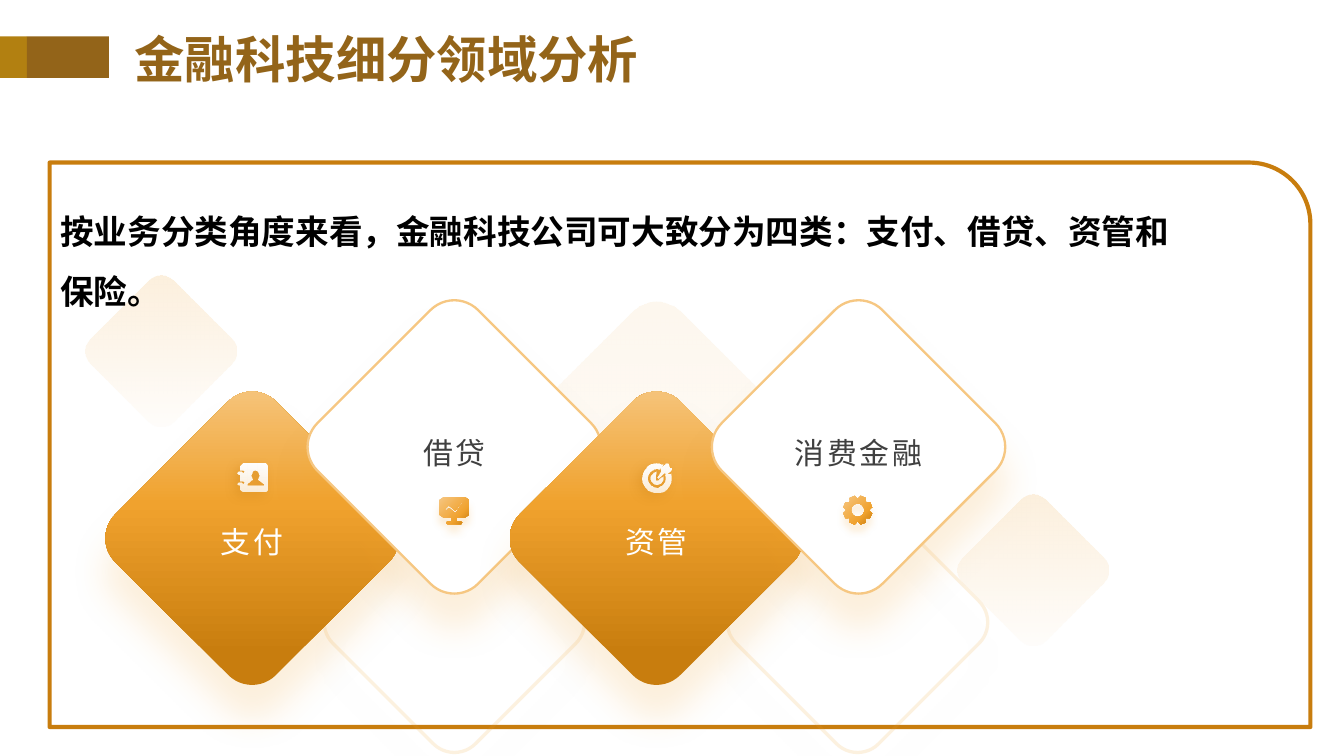
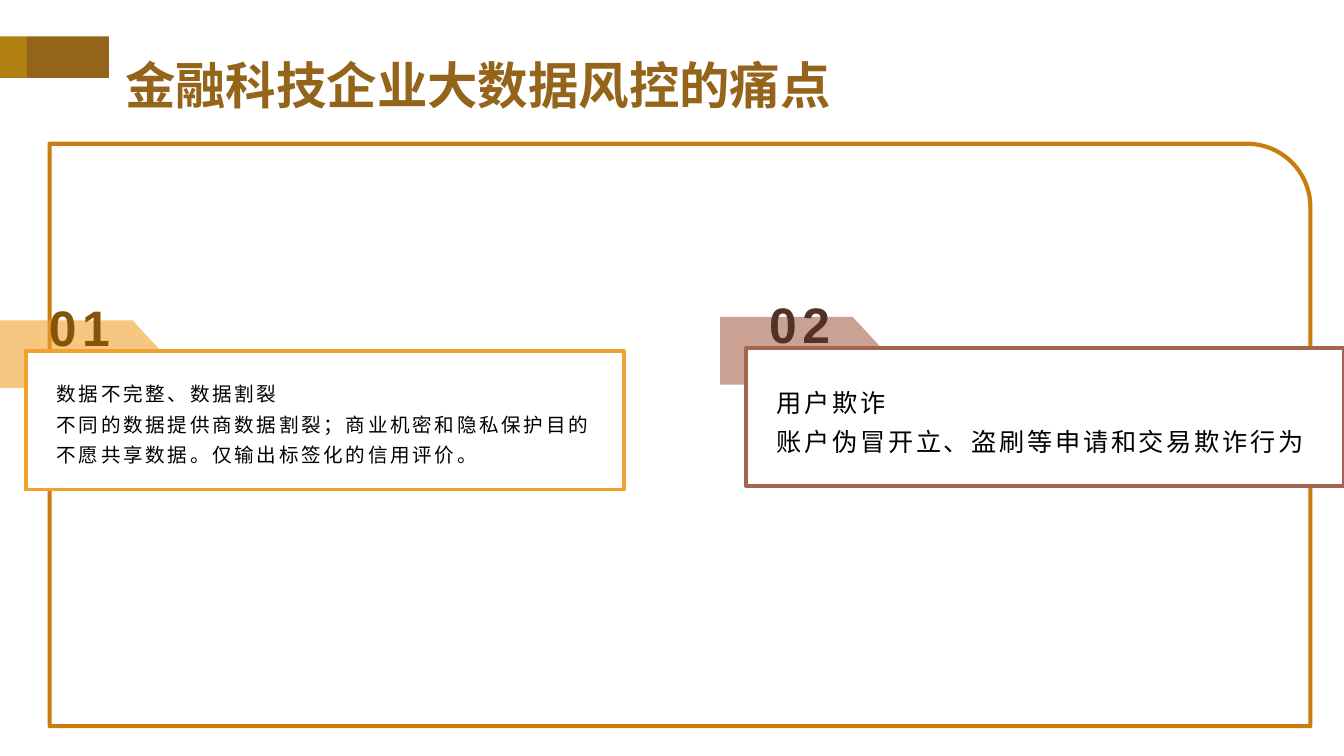
from math import cos, radians, sin

from lxml import etree
from pptx import Presentation
from pptx.dml.color import RGBColor
from pptx.enum.shapes import MSO_SHAPE
from pptx.enum.text import MSO_ANCHOR, PP_ALIGN
from pptx.oxml import parse_xml
from pptx.oxml.ns import nsdecls, qn
from pptx.util import Pt

RECTANGLE = MSO_SHAPE.RECTANGLE
ROUNDED = MSO_SHAPE.ROUNDED_RECTANGLE
ROUND_ONE = MSO_SHAPE.ROUND_1_RECTANGLE
TOP, MIDDLE, BOTTOM = MSO_ANCHOR.TOP, MSO_ANCHOR.MIDDLE, MSO_ANCHOR.BOTTOM
LEFT, CENTER = PP_ALIGN.LEFT, PP_ALIGN.CENTER

COLORS = {
    "olive": "B28011",
    "brown": "936419",
    "amber": "C87D0E",
    "orange": "F0A22E",
    "light": "F6C782",
    "cream": "FCECD5",
    "white": "FFFFFF",
    "gray": "404040",
    "black": "000000",
    "rust": "A5644E",
    "dark_gold": "85540A",
    "dark_rust": "523227",
}
CJK_FONT = "Noto Sans CJK SC"
NO_INSET = (0, 0)
CARD_INSET = (5.6, 2.9)
DEFAULT_INSET = (7.2, 3.6)
WARM_SHADOW = ("orange", 17, 19, 18, 90)
ICON_SHADOW = ("orange", 20, 4, 4, 90)
WHITE_ICON_SHADOW = ("amber", 40, 6, 3, 135)
WARM_GRADIENT = [(14, "amber", 100), (61, "orange", 100), (100, "light", 100)]
ICON_GRADIENT = [(0, "light", 100), (68, "orange", 100), (99, "amber", 100)]
WHITE_GRADIENT = [(0, "white", 100), (100, "white", 80)]
FAINT_GRADIENT = [(0, "cream", 40), (100, "cream", 10)]
CREAM_GRADIENT = [(0, "cream", 80), (100, "cream", 10)]


def paint(shape, stops=(), angle=0, line=None, shadow=None, turns=0):
    shape.shadow.inherit = False
    properties = shape._element.spPr
    shape.fill.background()
    if len(stops) == 1:
        shape.fill.solid()
        shape.fill.fore_color.rgb = RGBColor.from_string(COLORS[stops[0][1]])
        color = properties.find(qn("a:solidFill"))[0]
        etree.SubElement(color, qn("a:alpha"), val=str(stops[0][2] * 1000))
    elif stops:
        marks = "".join(
            f'<a:gs pos="{position * 1000}"><a:srgbClr val="{COLORS[name]}">'
            f'<a:alpha val="{alpha * 1000}"/></a:srgbClr></a:gs>'
            for position, name, alpha in stops
        )
        gradient = parse_xml(
            f'<a:gradFill {nsdecls("a")} rotWithShape="{turns}"><a:gsLst>{marks}</a:gsLst>'
            f'<a:lin ang="{angle * 60000}" scaled="0"/></a:gradFill>'
        )
        properties.replace(properties.find(qn("a:noFill")), gradient)
    if line:
        name, width, alpha = line
        shape.line.color.rgb = RGBColor.from_string(COLORS[name])
        shape.line.width = Pt(width)
        color = properties.find(qn("a:ln")).find(qn("a:solidFill"))[0]
        etree.SubElement(color, qn("a:alpha"), val=str(alpha * 1000))
    else:
        shape.line.fill.background()
    if shadow:
        name, alpha, blur, distance, direction = shadow
        properties.find(qn("a:effectLst")).append(parse_xml(
            f'<a:outerShdw {nsdecls("a")} blurRad="{Pt(blur)}" dist="{Pt(distance)}" '
            f'dir="{direction * 60000}" algn="ctr" rotWithShape="0">'
            f'<a:srgbClr val="{COLORS[name]}"><a:alpha val="{alpha * 1000}"/></a:srgbClr>'
            f'</a:outerShdw>'
        ))


def arc(radius, start, end):
    return [
        (10.8 + radius * cos(radians(start + (end - start) * step / 24)),
         10.6 + radius * sin(radians(start + (end - start) * step / 24)))
        for step in range(25)
    ]


presentation = Presentation()
presentation.slide_width, presentation.slide_height = Pt(720), Pt(405)

slides = []
for title_text, title_box, frame_top, frame_height in (
    ("金融科技细分领域分析", (64.8, 9.4, 330.5, 43.2), 87.1, 302.4),
    ("金融科技企业大数据风控的痛点", (59.8, 25.2, 480.2, 39.6), 77, 312),
):
    slide = presentation.slides.add_slide(presentation.slide_layouts[5])
    slides.append(slide)
    for left, width, name in ((-0.7, 15.1, "olive"), (14.4, 43.9, "brown")):
        band = slide.shapes.add_shape(RECTANGLE, Pt(left), Pt(19.5), Pt(width), Pt(22.3))
        paint(band, [(0, name, 100)])
    frame = slide.shapes.add_shape(
        ROUND_ONE, Pt(26.6), Pt(frame_top), Pt(675.4), Pt(frame_height))
    frame.adjustments[0] = 0.109
    paint(frame, line=("amber", 2.25, 100))
    title = slide.shapes.title
    title.left, title.top, title.width, title.height = map(Pt, title_box)
    title.text_frame.text = title_text
    title.text_frame.word_wrap = True
    title.text_frame.vertical_anchor = MIDDLE
    paragraph = title.text_frame.paragraphs[0]
    paragraph.alignment = LEFT
    paragraph.font.name = CJK_FONT
    paragraph.font.size = Pt(27)
    paragraph.font.bold = True
    paragraph.font.color.rgb = RGBColor.from_string(COLORS["brown"])
    properties = paragraph.runs[0]._r.get_or_add_rPr()
    etree.SubElement(properties, qn("a:ea"), typeface=CJK_FONT)

fields_slide, pains_slide = slides

ghost = {"line": ("orange", 1.75, 15), "shadow": WARM_SHADOW}
solid = {"stops": WARM_GRADIENT, "angle": 270, "shadow": WARM_SHADOW}
hollow = {"stops": [(0, "white", 100)], "line": ("light", 1.25, 100), "shadow": WARM_SHADOW}
small = {"stops": CREAM_GRADIENT, "angle": 45, "turns": 1}
column_lefts = [74.2 + 108.3 * column for column in range(4)]
for left, top, size, style in (
    (405.4, 279.4, 108, ghost),
    (column_lefts[2], 179.3, 121.7, {"stops": FAINT_GRADIENT, "angle": 90}),
    (189.4, 279.4, 108, ghost),
    (column_lefts[0], 227.5, 121.7, solid),
    (column_lefts[1], 178.6, 121.7, hollow),
    (column_lefts[2], 227.5, 121.7, solid),
    (column_lefts[3], 178.6, 121.7, hollow),
    (522, 274.3, 62.6, small),
    (54.7, 157, 62.6, small),
):
    diamond = fields_slide.shapes.add_shape(ROUNDED, Pt(left), Pt(top), Pt(size), Pt(size))
    diamond.adjustments[0] = 0.148
    diamond.rotation = 45
    paint(diamond, **style)

gear = []
for tooth in range(8):
    middle = 22.5 + 45 * tooth
    for radius, offset in ((8.8, -19), (10.9, -11), (10.9, 11), (8.8, 19)):
        angle = radians(middle + offset)
        gear.append((10.8 + radius * cos(angle), 10.6 + radius * sin(angle)))
gear_icon = [gear, arc(5, 0, 360)]
monitor_icon = [
    [(3, 1), (19, 1), (22, 3), (22, 14), (19, 16), (13, 16), (13, 19), (16, 19),
     (17, 20), (16, 21), (6, 21), (5, 20), (6, 19), (9, 19), (9, 16), (3, 16),
     (0, 14), (0, 3)],
    [(4, 10), (7, 7), (12, 11), (17, 4), (18, 4), (12, 13), (7, 9), (5, 11)],
]
target_icon = [
    arc(10.6, -18, 295) + arc(6.5, 290, -24),
    arc(4.6, -17, 265) + [(9.8, 10), (9.8, 12), (12, 12)],
    [(18, 0), (19, 0), (20, 3), (22, 3), (22, 4), (18, 8), (16, 7), (12, 11),
     (11, 10), (14, 6), (14, 3)],
]
contact_icon = [
    [(4, 0), (20, 0), (22, 2), (22, 19), (20, 21), (4, 21), (2, 19), (2, 16),
     (1, 16), (0, 15), (1, 14), (3, 14), (4, 15), (5, 14), (4, 13), (2, 13),
     (2, 8), (1, 8), (0, 7), (1, 6), (3, 6), (4, 7), (5, 6), (4, 5), (2, 5), (2, 2)],
    [(7, 16), (7, 15), (11, 12), (10, 9), (11, 6), (13, 5), (15, 6), (16, 9),
     (15, 12), (19, 15), (19, 16)],
]
orange_icon = {"stops": ICON_GRADIENT, "angle": 45, "shadow": ICON_SHADOW}
white_icon = {"stops": WHITE_GRADIENT, "angle": 90, "shadow": WHITE_ICON_SHADOW}
for left, top, contours, style in (
    (451.7, 265.7, gear_icon, orange_icon),
    (235.4, 265.7, monitor_icon, orange_icon),
    (343.9, 248.4, target_icon, white_icon),
    (127.4, 248.4, contact_icon, white_icon),
):
    builder = None
    for contour in contours:
        points = [(x * 10, y * 10) for x, y in contour]
        if builder is None:
            builder = fields_slide.shapes.build_freeform(*points[0], scale=Pt(0.072))
        else:
            builder.move_to(*points[0])
        builder.add_line_segments(points[1:], close=True)
    paint(builder.convert_to_shape(Pt(left), Pt(top)), **style)

texts = [(
    fields_slide, (25.2, 98.6, 619.9, 72.7),
    ["按业务分类角度来看，金融科技公司可大致分为四类：支付、借贷、资管和保险。"],
    CJK_FONT, 18, "black", True, 0, LEFT, TOP, 1.5, DEFAULT_INSET,
)]
for column, label in enumerate(("支付", "借贷", "资管", "消费金融")):
    raised = column % 2
    texts.append((
        fields_slide,
        (column_lefts[column] + 13, 200.9 if raised else 275, 95.8, 51.1), [label],
        "Arial", 16, "gray" if raised else "white", False, 1.5, CENTER,
        BOTTOM if raised else TOP, 1.3, NO_INSET,
    ))

for left, top, number, lines, size, accent, number_color in (
    (0, 171.6, "01",
     ["数据不完整、数据割裂",
      "不同的数据提供商数据割裂；商业机密和隐私保护目的不愿共享数据。仅输出标签化的信用评价。"],
     10.5, "orange", "dark_gold"),
    (385.8, 169.8, "02",
     ["用户欺诈", "账户伪冒开立、盗刷等申请和交易欺诈行为"],
     13.5, "rust", "dark_rust"),
):
    builder = pains_slide.shapes.build_freeform(0, 0, scale=Pt(0.1))
    builder.add_line_segments([(710, 0), (1045, 362), (0, 362)], close=True)
    paint(builder.convert_to_shape(Pt(left), Pt(top)), [(0, accent, 60)])
    card = pains_slide.shapes.add_shape(
        RECTANGLE, Pt(left + 13.8), Pt(top + 16.5), Pt(320.4), Pt(74.2))
    paint(card, [(0, "white", 100)], line=(accent, 2, 100))
    texts.append((pains_slide, (left + 24.7, top + 23.7, 308.9, 60.5), lines,
                  "Arial", size, "black", False, 1.5, LEFT, MIDDLE, 1.3, CARD_INSET))
    texts.append((pains_slide, (left + 13.8, top - 27, 57.6, 51.1), [number],
                  "Arial", 26.7, number_color, True, 3, CENTER, MIDDLE, 1.3, CARD_INSET))

for (slide, box, lines, font_name, size, color, bold, tracking,
     alignment, anchor, spacing, inset) in texts:
    text_frame = slide.shapes.add_textbox(*map(Pt, box)).text_frame
    text_frame.word_wrap = True
    text_frame.vertical_anchor = anchor
    text_frame.margin_left = text_frame.margin_right = Pt(inset[0])
    text_frame.margin_top = text_frame.margin_bottom = Pt(inset[1])
    text_frame.text = "\n".join(lines)
    for paragraph in text_frame.paragraphs:
        paragraph.alignment = alignment
        paragraph.line_spacing = spacing
        paragraph.font.name = font_name
        paragraph.font.size = Pt(size)
        paragraph.font.bold = bold
        paragraph.font.color.rgb = RGBColor.from_string(COLORS[color])
        properties = paragraph.runs[0]._r.get_or_add_rPr()
        properties.set("spc", str(int(tracking * 100)))
        etree.SubElement(properties, qn("a:ea"), typeface=CJK_FONT)

presentation.save("out.pptx")
